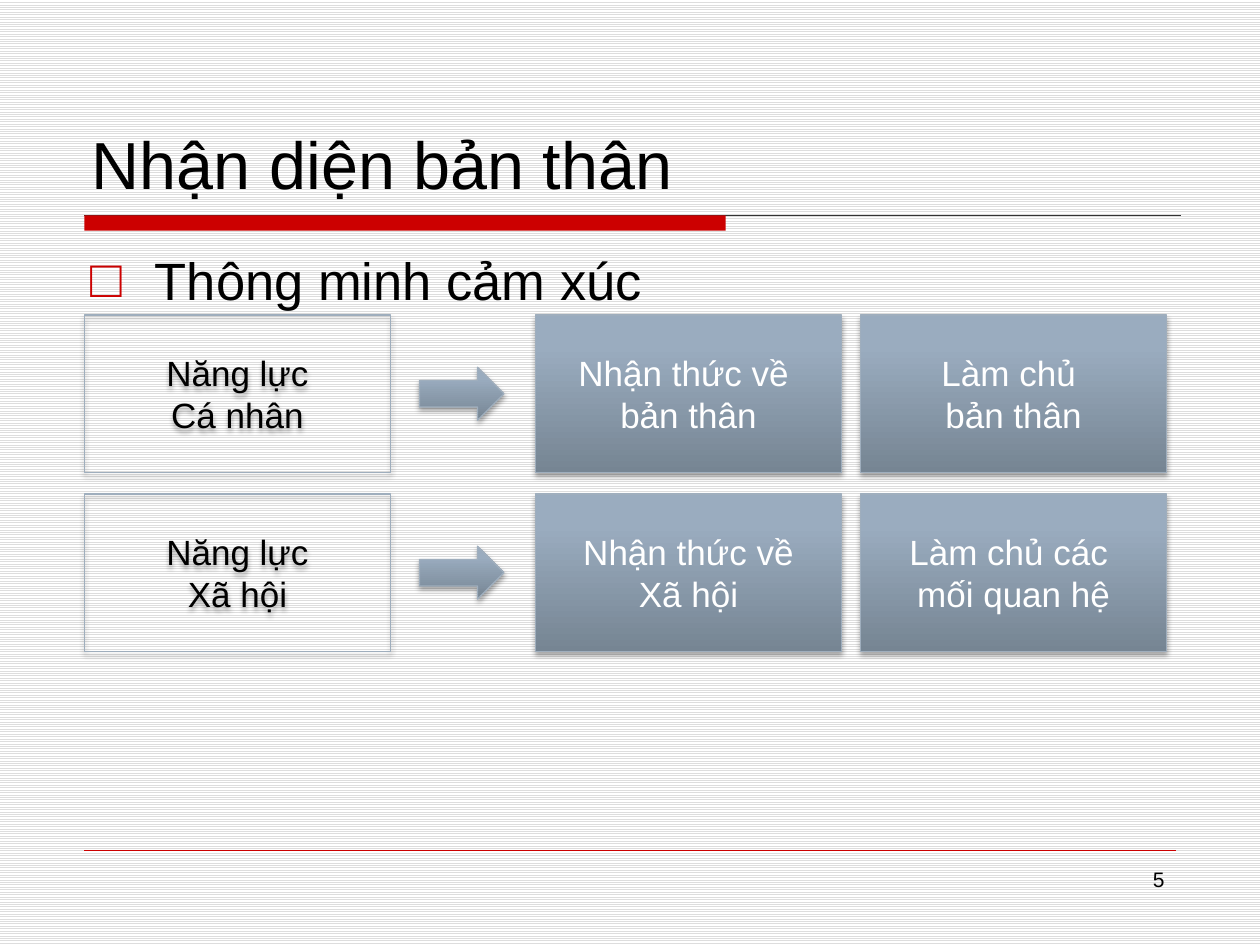
import copy

import pptx
import pptx.dml.color
import pptx.enum.dml
import pptx.enum.shapes
import pptx.enum.text
import pptx.oxml
import pptx.oxml.ns
import pptx.util

Inches = pptx.util.Inches
Pt = pptx.util.Pt
ALIGN = pptx.enum.text.PP_ALIGN
ANCHOR = pptx.enum.text.MSO_ANCHOR
SHAPES = pptx.enum.shapes.MSO_SHAPE
NAMESPACE = pptx.oxml.ns.nsdecls("a")

RED = "CC0000"
BLACK = "000000"
WHITE = "FFFFFF"
BORDER = "9FAEBD"
GRADIENT = [(0, "768593"), (0.8, "9AACBF"), (1, "9AADC1")]

ROWS = [
    (["Năng lực", "Cá nhân"],
     [["Nhận thức về ", "bản thân"], ["Làm chủ ", "bản thân"]]),
    (["Năng lực", "Xã hội"],
     [["Nhận thức về", "Xã hội"], ["Làm chủ các ", "mối quan hệ"]]),
]


def color(value):
    return pptx.dml.color.RGBColor.from_string(value)


def place(shape, left, top, width, height):
    shape.left, shape.top = Inches(left), Inches(top)
    shape.width, shape.height = Inches(width), Inches(height)


def write_lines(frame, lines, size, text_color, align, anchor):
    frame.word_wrap = True
    frame.auto_size = pptx.enum.text.MSO_AUTO_SIZE.NONE
    frame.vertical_anchor = anchor
    for index, line in enumerate(lines):
        paragraph = frame.paragraphs[0] if index == 0 else frame.add_paragraph()
        paragraph.alignment = align
        run = paragraph.add_run()
        run.text = line
        run.font.name = "Arial"
        run.font.size = Pt(size)
        run.font.color.rgb = color(text_color)


def add_rule(slide, left, top, width, line_color, weight):
    rule = slide.shapes.add_connector(
        pptx.enum.shapes.MSO_CONNECTOR.STRAIGHT,
        Inches(left), Inches(top), Inches(left + width), Inches(top))
    rule.line.color.rgb = color(line_color)
    rule.line.width = Pt(weight)
    rule._element.spPr.append(pptx.oxml.parse_xml(f"<a:effectLst {NAMESPACE}/>"))


def add_background(slide):
    fill = slide.background.fill
    fill.patterned()
    fill.pattern = pptx.enum.dml.MSO_PATTERN.LIGHT_HORIZONTAL
    fill.fore_color.rgb = color("DDDDDD")
    fill.back_color.rgb = color(WHITE)


def add_heading(slide, left, top, width, height):
    add_rule(slide, left + 0.04, top + 1.38, 8.7, "333333", 0.75)
    bar = slide.shapes.add_shape(
        SHAPES.RECTANGLE, Inches(left + 0.04), Inches(top + 1.38),
        Inches(5.09), Inches(0.12))
    bar.shadow.inherit = False
    bar.fill.solid()
    bar.fill.fore_color.rgb = color(RED)
    bar.line.fill.background()
    title = slide.shapes.title
    place(title, left, top, width, height)
    write_lines(title.text_frame, ["Nhận diện bản thân"], 38, BLACK,
                ALIGN.LEFT, ANCHOR.BOTTOM)


def add_body(slide, left, top, width, height):
    body = slide.placeholders[1]
    place(body, left, top, width, height)
    write_lines(body.text_frame, ["Thông minh cảm xúc"], 30, BLACK,
                ALIGN.LEFT, ANCHOR.TOP)
    properties = body.text_frame.paragraphs[0]._p.get_or_add_pPr()
    properties.set("marL", str(Inches(0.51)))
    properties.set("indent", str(Inches(-0.51)))
    for markup in (
        f'<a:buClr {NAMESPACE}><a:srgbClr val="{RED}"/></a:buClr>',
        f'<a:buFont {NAMESPACE} typeface="Arial"/>',
        f'<a:buChar {NAMESPACE} char="□"/>',
    ):
        properties.append(pptx.oxml.parse_xml(markup))


def fill_gradient(shape):
    shape.fill.gradient()
    shape.fill.gradient_angle = 90
    stop_list = shape._element.spPr.find(".//" + pptx.oxml.ns.qn("a:gsLst"))
    stop_list.append(copy.deepcopy(stop_list[-1]))
    for stop, (position, value) in zip(shape.fill.gradient_stops, GRADIENT):
        stop.position = position
        stop.color.rgb = color(value)


def add_block(slide, kind, left, top, width, height, filled=True):
    block = slide.shapes.add_shape(
        kind, Inches(left), Inches(top), Inches(width), Inches(height))
    if filled:
        fill_gradient(block)
    else:
        block.fill.background()
    block.line.color.rgb = color(BORDER)
    block.line.width = Pt(0.75)
    block.shadow.inherit = False
    effects = block._element.spPr.find(pptx.oxml.ns.qn("a:effectLst"))
    effects.append(pptx.oxml.parse_xml(
        f'<a:outerShdw {NAMESPACE} blurRad="{Pt(3.1)}" dist="{Pt(1.8)}" '
        'dir="5400000" rotWithShape="0"><a:srgbClr val="000000">'
        '<a:alpha val="35000"/></a:srgbClr></a:outerShdw>'))
    return block


def add_competence_row(slide, left, top, width, height, label, skills):
    box_width, gap = 2.43, 0.15
    arrow_width, arrow_height = 0.67, 0.42
    label_box = add_block(slide, SHAPES.RECTANGLE, left, top, box_width, height,
                          filled=False)
    write_lines(label_box.text_frame, label, 20, BLACK,
                ALIGN.CENTER, ANCHOR.MIDDLE)
    add_block(slide, SHAPES.RIGHT_ARROW, left + 2.66,
              top + (height - arrow_height) / 2, arrow_width, arrow_height)
    skills_left = left + width - len(skills) * (box_width + gap) + gap
    for index, skill in enumerate(skills):
        skill_box = add_block(slide, SHAPES.RECTANGLE,
                              skills_left + index * (box_width + gap), top,
                              box_width, height)
        write_lines(skill_box.text_frame, skill, 20, WHITE,
                    ALIGN.CENTER, ANCHOR.MIDDLE)


def add_footer(slide, left, top, width, height):
    add_rule(slide, left, top, width, RED, 0.25)
    number = slide.shapes.add_textbox(
        Inches(left + width - 2.16), Inches(top + 0.08),
        Inches(2.17), Inches(height - 0.08))
    write_lines(number.text_frame, ["5"], 12, BLACK, ALIGN.RIGHT, ANCHOR.TOP)


def main():
    presentation = pptx.Presentation()
    presentation.slide_width = Inches(10)
    presentation.slide_height = Inches(7.5)
    slide = presentation.slides.add_slide(presentation.slide_layouts[1])
    add_background(slide)
    add_heading(slide, 0.63, 0.33, 8.75, 1.33)
    add_body(slide, 0.62, 1.92, 8.75, 4.67)
    for index, (label, skills) in enumerate(ROWS):
        add_competence_row(slide, 0.67, 2.5 + index * 1.42, 8.59, 1.25,
                           label, skills)
    add_footer(slide, 0.67, 6.75, 8.66, 0.6)
    presentation.save("out.pptx")


if __name__ == "__main__":
    main()
